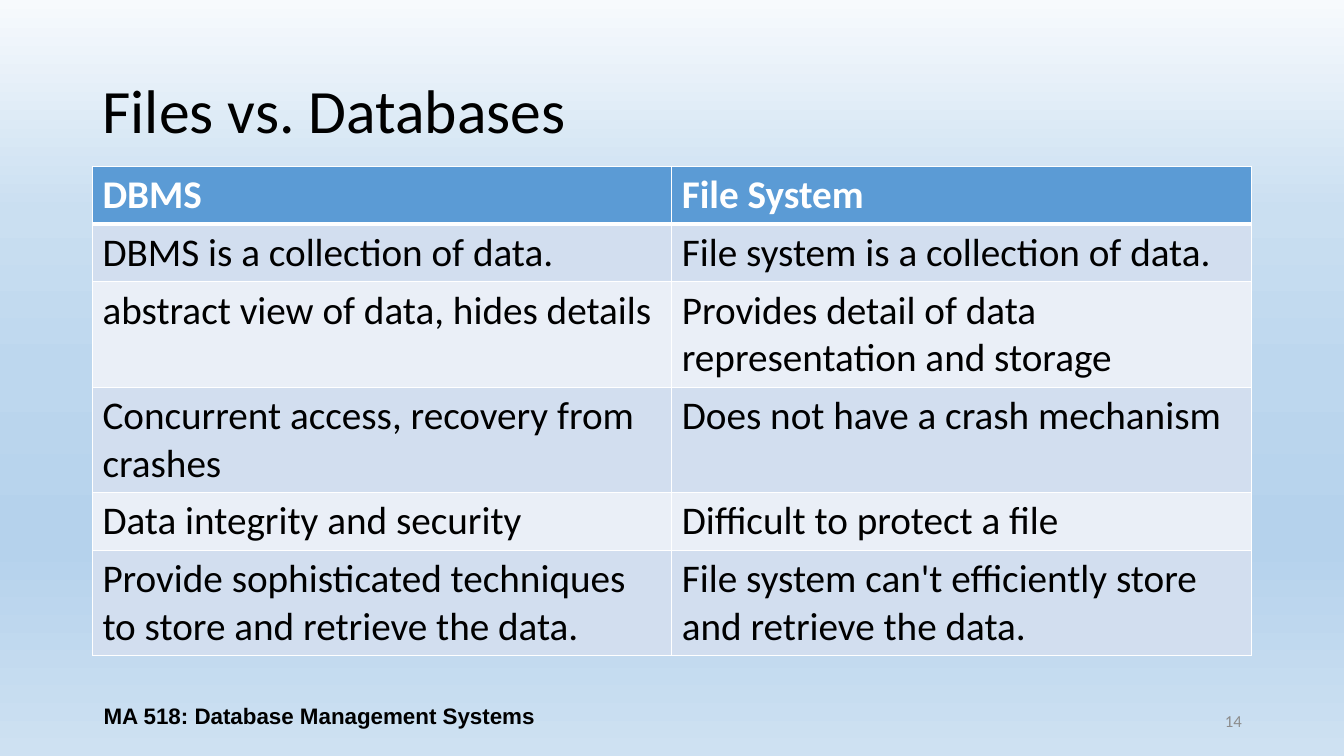
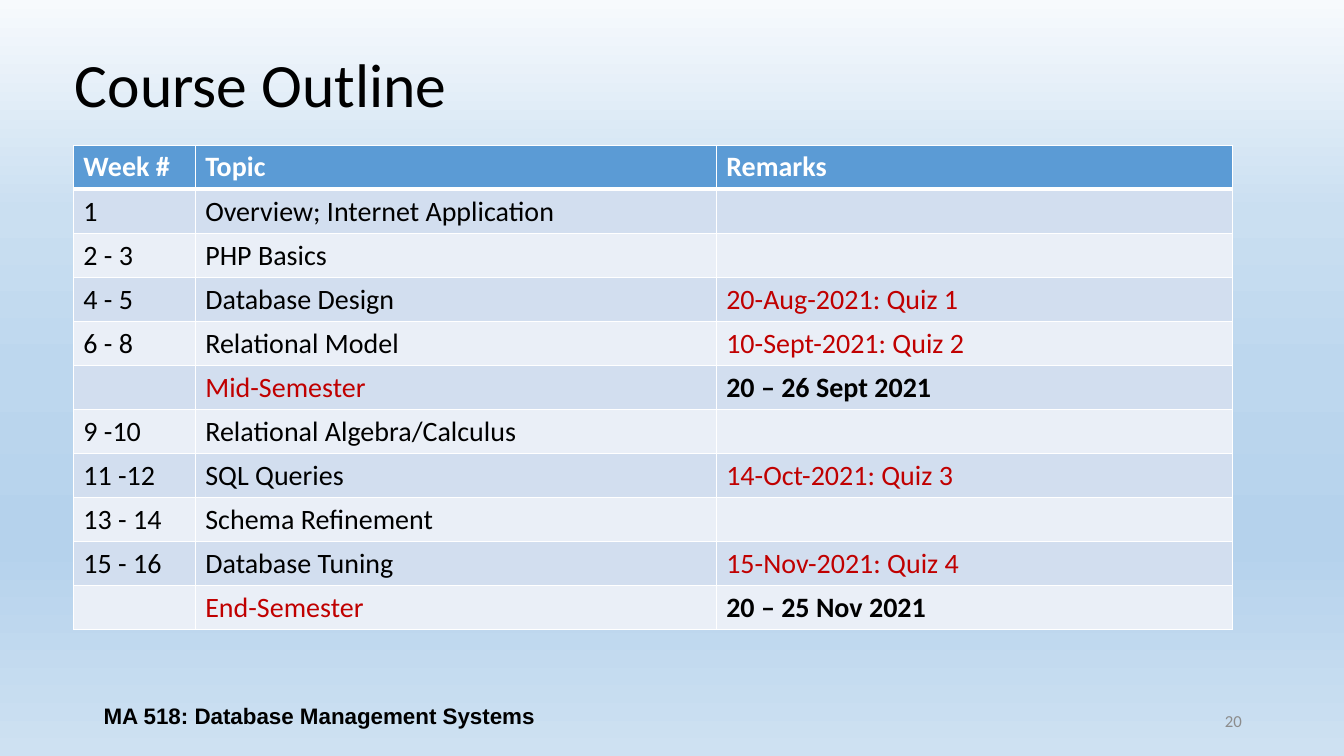
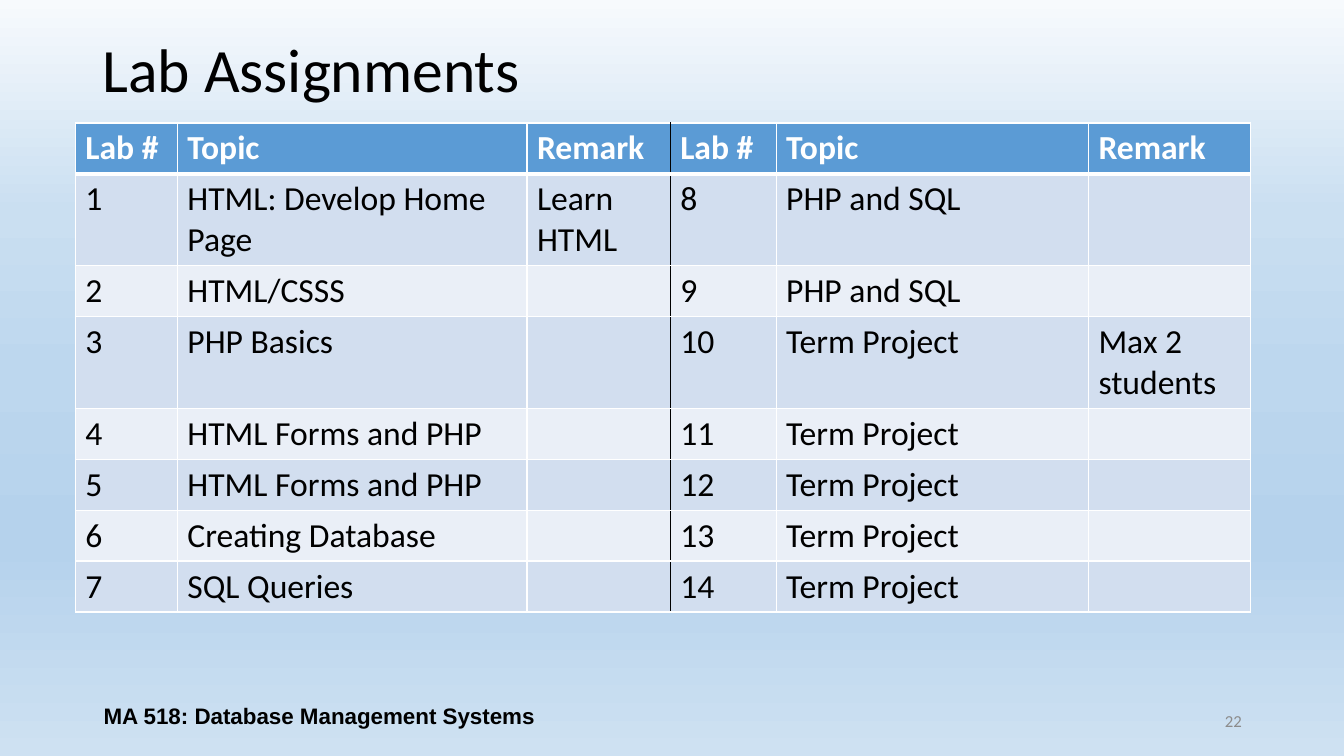
import lxml.etree
import pptx
import pptx.dml.color
import pptx.enum.text
import pptx.oxml.ns
import pptx.util

Cm = pptx.util.Cm
Pt = pptx.util.Pt
ALIGN = pptx.enum.text.PP_ALIGN
MIDDLE = pptx.enum.text.MSO_ANCHOR.MIDDLE
qn = pptx.oxml.ns.qn


class Theme:
    """Colours, type styles and sizes of the course deck."""
    black, white = "000000", "FFFFFF"
    header_fill = "5B9BD5"
    band_fills = ("D2DEEF", "EAEFF7")
    background_stops = ((0, "F7FAFD"), (28, "CADFF1"), (49, "BDD7EE"),
                        (71, "B5D2EC"), (72, "B5D2EC"), (100, "CEE1F2"))
    title = {"name": "Calibri", "size": Pt(44), "bold": False, "color": black}
    footer = {"name": "Arial", "size": Pt(16), "bold": True, "color": black}
    number = {"name": "Calibri", "size": Pt(12), "bold": False, "color": "8C8C8C"}
    # Cell styles; the size is chosen for each table
    cells = {
        "header": {"name": "Calibri", "bold": True, "color": white},
        "body": {"name": "Calibri", "bold": False, "color": black},
        "alert": {"name": "Calibri", "bold": False, "color": "C00000"},
        "strong": {"name": "Calibri", "bold": True, "color": black},
    }
    thin, thick = 1, 3


class Deck:
    """Holds the presentation, its theme and the current slide."""

    def __init__(self, theme):
        self.theme = theme
        self.presentation = pptx.Presentation()
        self.presentation.slide_width = Cm(33.87)
        self.presentation.slide_height = Cm(19.05)
        self.slide = None
        self.paint_background()

    def paint_background(self):
        fill = self.presentation.slide_master.background.fill
        fill.gradient()
        fill.gradient_angle = 270
        stops = fill._fill._gradFill.find(qn("a:gsLst"))
        for stop in list(stops):
            stops.remove(stop)
        for position, color in self.theme.background_stops:
            stop = lxml.etree.SubElement(stops, qn("a:gs"), pos=str(position * 1000))
            lxml.etree.SubElement(stop, qn("a:srgbClr"), val=color)

    def add_text(self, frame, text, style, align=ALIGN.LEFT):
        paragraph = frame.paragraphs[0]
        paragraph.alignment = align
        run = paragraph.add_run()
        run.text = text
        for name, value in style.items():
            if name == "color":
                run.font.color.rgb = pptx.dml.color.RGBColor.from_string(value)
            else:
                setattr(run.font, name, value)
        return paragraph

    def new_slide(self, title, number, left, top):
        layout = self.presentation.slide_layouts.get_by_name("Title Only")
        self.slide = self.presentation.slides.add_slide(layout)
        self.title(title, left, top)
        self.text_box("MA 518: Database Management Systems", 2.33, 17.53, 11.43,
                      self.theme.footer, ALIGN.CENTER)
        self.text_box(str(number), 23.93, 17.65, 7.62, self.theme.number, ALIGN.RIGHT)

    def title(self, text, left, top):
        shape = self.slide.shapes.title
        box = {"left": Cm(left), "top": Cm(top), "width": Cm(29.21), "height": Cm(3.68)}
        for name, value in box.items():
            setattr(shape, name, value)
        shape.text_frame.vertical_anchor = MIDDLE
        self.add_text(shape.text_frame, text, self.theme.title).line_spacing = 0.9

    def text_box(self, text, left, top, width, style, align):
        shape = self.slide.shapes.add_textbox(Cm(left), Cm(top), Cm(width), Cm(1.02))
        shape.text_frame.word_wrap = True
        shape.text_frame.vertical_anchor = MIDDLE
        self.add_text(shape.text_frame, text, style, align)

    def table(self, rows, left, top, widths, size, tall_rows=(), divider=None):
        """Place a table; divider is the column that follows a black rule."""
        heights = [0.25 + 0.043 * size * (2 if index in tall_rows else 1)
                   for index in range(len(rows))]
        frame = self.slide.shapes.add_table(len(rows), len(widths), Cm(left), Cm(top),
                                            Cm(sum(widths)), Cm(sum(heights)))
        table = frame.table
        table.horz_banding = False
        for column, width in zip(table.columns, widths):
            column.width = Cm(width)
        for index, (row, height) in enumerate(zip(rows, heights)):
            table.rows[index].height = Cm(height)
            for position, content in enumerate(row):
                self.cell(table.cell(index, position), content, index, size,
                          position == divider, position + 1 == divider)

    def cell(self, cell, content, row, size, rule_left, rule_right):
        theme = self.theme
        text, style = content if isinstance(content, tuple) else (content, "body")
        if row == 0:
            style, color = "header", theme.header_fill
        else:
            color = theme.band_fills[(row - 1) % 2]
        cell.fill.solid()
        cell.fill.fore_color.rgb = pptx.dml.color.RGBColor.from_string(color)
        if text:
            self.add_text(cell.text_frame, text, {**theme.cells[style], "size": Pt(size)})
        borders = (
            ("a:lnL", theme.black if rule_left else theme.white, theme.thin),
            ("a:lnR", theme.black if rule_right else theme.white, theme.thin),
            ("a:lnT", theme.white, theme.thick if row == 1 else theme.thin),
            ("a:lnB", theme.white, theme.thick if row == 0 else theme.thin),
        )
        properties = cell._tc.get_or_add_tcPr()
        for order, (tag, line_color, width) in enumerate(borders):
            line = properties.makeelement(qn(tag), {"w": str(Pt(width))})
            properties.insert(order, line)
            fill = lxml.etree.SubElement(line, qn("a:solidFill"))
            lxml.etree.SubElement(fill, qn("a:srgbClr"), val=line_color)


def main():
    deck = Deck(Theme)

    # Files vs. databases
    deck.new_slide("Files vs. Databases", 14, 2.33, 1.02)
    comparison = [
        ("DBMS", "File System"),
        ("DBMS is a collection of data.", "File system is a collection of data."),
        ("abstract view of data, hides details",
         "Provides detail of data representation and storage"),
        ("Concurrent access, recovery from crashes", "Does not have a crash mechanism"),
        ("Data integrity and security", "Difficult to protect a file"),
        ("Provide sophisticated techniques to store and retrieve the data.",
         "File system can't efficiently store and retrieve the data."),
    ]
    # Plain pairs of strings become body cells
    deck.table(comparison, 2.33, 4.19, (14.6, 14.6), 28, tall_rows=(2, 3, 5))

    # Course outline
    deck.new_slide("Course Outline", 20, 1.63, 0.36)
    outline = [
        ("Week #", "Topic", "Remarks"),
        ("1", "Overview; Internet Application", ""),
        ("2 - 3", "PHP Basics", ""),
        ("4 - 5", "Database Design", ("20-Aug-2021: Quiz 1", "alert")),
        ("6 - 8", "Relational Model", ("10-Sept-2021: Quiz 2", "alert")),
        ("", ("Mid-Semester", "alert"), ("20 – 26 Sept 2021", "strong")),
        ("9 -10", "Relational Algebra/Calculus", ""),
        ("11 -12", "SQL Queries", ("14-Oct-2021: Quiz 3", "alert")),
        ("13 - 14", "Schema Refinement", ""),
        ("15 - 16", "Database Tuning", ("15-Nov-2021: Quiz 4", "alert")),
        ("", ("End-Semester", "alert"), ("20 – 25 Nov 2021", "strong")),
    ]
    deck.table(outline, 1.85, 3.66, (3.07, 13.13, 13), 20)

    # Lab assignments: two halves of seven labs side by side
    deck.new_slide("Lab Assignments", 22, 2.33, 0)
    topics = ["HTML: Develop Home Page", "HTML/CSSS", "PHP Basics",
              "HTML Forms and PHP", "HTML Forms and PHP", "Creating Database",
              "SQL Queries"] + ["PHP and SQL"] * 2 + ["Term Project"] * 5
    remarks = {1: "Learn HTML", 10: "Max 2 students"}
    labs = [(str(lab), topic, remarks.get(lab, ""))
            for lab, topic in enumerate(topics, start=1)]
    schedule = [("Lab #", "Topic", "Remark") * 2]
    schedule += [first + second for first, second in zip(labs[:7], labs[7:])]
    deck.table(schedule, 1.9, 3.1, (2.57, 8.81, 3.61, 2.67, 7.87, 4.09), 24,
               tall_rows=(1, 3), divider=3)

    deck.presentation.save("out.pptx")


if __name__ == "__main__":
    main()
